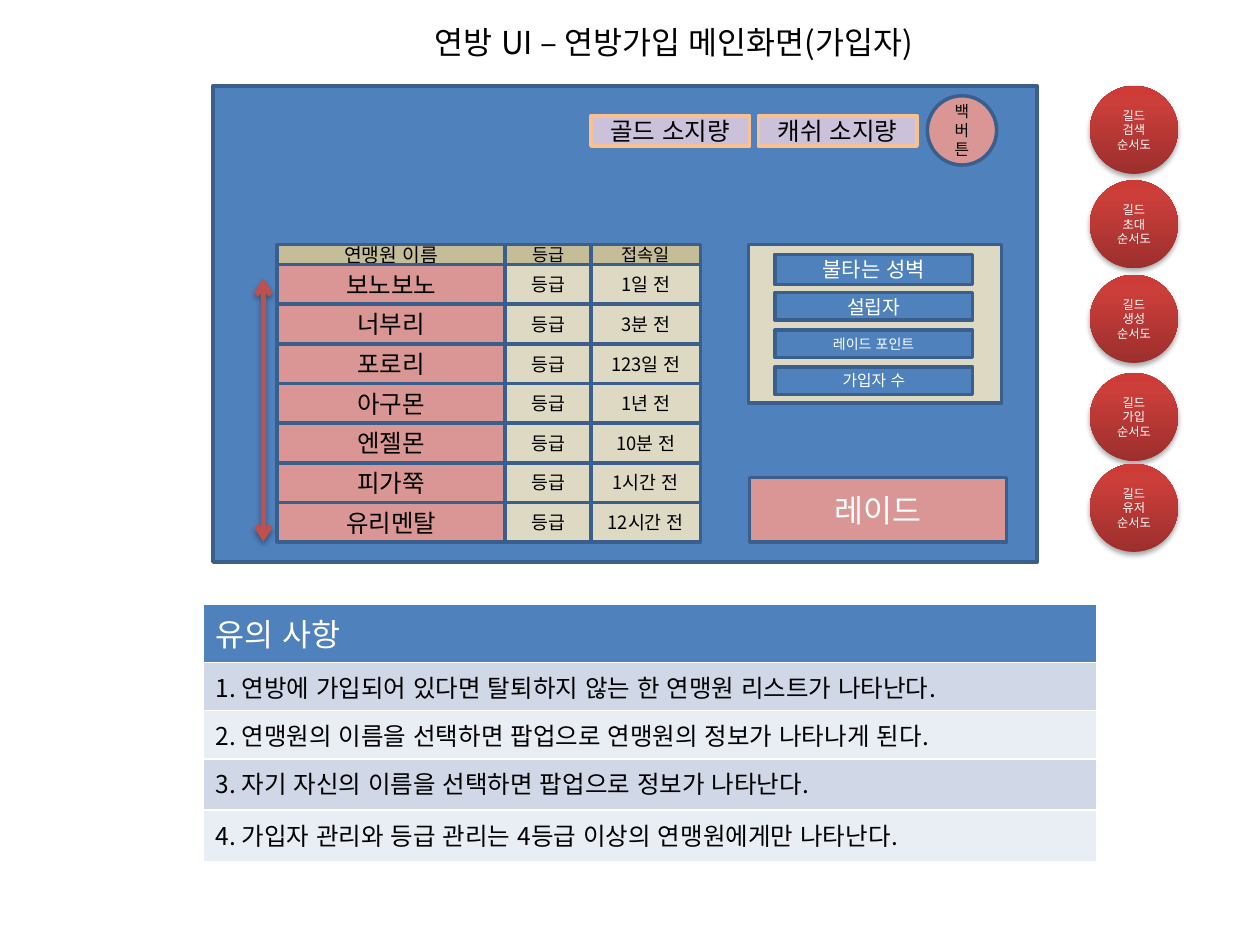
from copy import deepcopy

from lxml import etree
from pptx import Presentation
from pptx.dml.color import RGBColor
from pptx.enum import shapes, text
from pptx.oxml import ns
from pptx.util import Pt

FONT = "Noto Sans CJK KR"
BLACK = RGBColor(0x00, 0x00, 0x00)
WHITE = RGBColor(0xFF, 0xFF, 0xFF)
BLUE = RGBColor(0x4F, 0x81, 0xBD)
NAVY = RGBColor(0x3A, 0x5F, 0x8C)
PINK = RGBColor(0xD9, 0x96, 0x94)
KHAKI = RGBColor(0xC4, 0xBD, 0x97)
BEIGE = RGBColor(0xDD, 0xD9, 0xC3)
LILAC = RGBColor(0xCC, 0xC1, 0xDA)
ORANGE = RGBColor(0xFA, 0xC0, 0x90)
RED = RGBColor(0xC0, 0x50, 0x4D)
BAND_DARK = RGBColor(0xD0, 0xD8, 0xE8)
BAND_LIGHT = RGBColor(0xE9, 0xED, 0xF4)
RED_GRADIENT = [
    (0, RGBColor(0x9C, 0x2F, 0x2D)),
    (0.8, RGBColor(0xCB, 0x3E, 0x3A)),
    (1, RGBColor(0xCE, 0x3B, 0x37)),
]
RECTANGLE = shapes.MSO_SHAPE.RECTANGLE
OVAL = shapes.MSO_SHAPE.OVAL
CENTER = text.PP_ALIGN.CENTER

presentation = Presentation()
presentation.slide_width, presentation.slide_height = Pt(720), Pt(540)
slide = presentation.slides.add_slide(presentation.slide_layouts[6])


def write(frame, content, size=14, color=BLACK, align=None):
    """Fill a text frame, one paragraph per line of content."""
    for index, line in enumerate(content.split("\n")):
        paragraph = frame.add_paragraph() if index else frame.paragraphs[0]
        paragraph.alignment = align
        run = paragraph.add_run()
        run.text = line
        run.font.size, run.font.bold = Pt(size), False
        run.font.name = FONT
        run.font.color.rgb = color
        properties = run.font._element
        properties.set("lang", "ko-KR")
        etree.SubElement(properties, ns.qn("a:ea"), typeface=FONT)


def add_box(left, top, width, height, fill, content="", size=14,
            color=BLACK, line=NAVY, kind=RECTANGLE):
    """Add an outlined shape with centred text."""
    shape = slide.shapes.add_shape(kind, Pt(left), Pt(top), Pt(width), Pt(height))
    shape.shadow.inherit = False
    shape.fill.solid()
    shape.fill.fore_color.rgb = fill
    shape.line.color.rgb = line
    shape.line.width = Pt(2)
    shape.text_frame.word_wrap = True
    shape.text_frame.vertical_anchor = text.MSO_ANCHOR.MIDDLE
    if content:
        write(shape.text_frame, content, size, color, CENTER)
    return shape


# Table of notes
notes = [
    "유의 사항",
    "1. 연방에 가입되어 있다면 탈퇴하지 않는 한 연맹원 리스트가 나타난다.",
    "2. 연맹원의 이름을 선택하면 팝업으로 연맹원의 정보가 나타나게 된다.",
    "3. 자기 자신의 이름을 선택하면 팝업으로 정보가 나타난다.",
    "4. 가입자 관리와 등급 관리는 4등급 이상의 연맹원에게만 나타난다.",
]
row_heights = [29.2, 20, 20, 29.2, 29.2]
table = slide.shapes.add_table(
    len(notes), 1, Pt(116), Pt(345.2), Pt(510.5), Pt(sum(row_heights))).table
for index, (note, height) in enumerate(zip(notes, row_heights)):
    table.rows[index].height = Pt(height)
    cell = table.cell(index, 0)
    cell.fill.solid()
    if index == 0:
        cell.fill.fore_color.rgb = BLUE
        write(cell.text_frame, note, size=18, color=WHITE)
    else:
        cell.fill.fore_color.rgb = BAND_DARK if index % 2 else BAND_LIGHT
        write(cell.text_frame, note)

# Main screen with its top bar
add_box(121.7, 49, 470.9, 272.2, BLUE)
add_box(529.9, 54.7, 39.6, 39.6, PINK, "백버튼", 9, kind=OVAL)
for left, label in [(433.4, "캐쉬 소지량"), (337.7, "골드 소지량")]:
    add_box(left, 66.2, 90.7, 17.3, LILAC, label, line=ORANGE)

# Member list: header row, then one row per member
columns = [
    # left, width, header, header size, fill, text size
    (158.4, 130.3, "연맹원 이름", 11, PINK, 14),
    (288.7, 49, "등급", 10, BEIGE, 10.5),
    (337.7, 62.6, "접속일", 10, BEIGE, 10.5),
]
members = [
    ("보노보노", "1일 전"),
    ("너부리", "3분 전"),
    ("포로리", "123일 전"),
    ("아구몬", "1년 전"),
    ("엔젤몬", "10분 전"),
    ("피가쭉", "1시간 전"),
    ("유리멘탈", "12시간 전"),
]
LIST_TOP, HEADER_HEIGHT, ROW_HEIGHT = 139.7, 11.5, 22.65
for left, width, header, header_size, fill, size in columns:
    add_box(left, LIST_TOP, width, HEADER_HEIGHT, KHAKI, header, header_size)
for row, (name, last_seen) in enumerate(members):
    top = LIST_TOP + HEADER_HEIGHT + row * ROW_HEIGHT
    for column, label in zip(columns, (name, "등급", last_seen)):
        left, width, header, header_size, fill, size = column
        add_box(left, top, width, ROW_HEIGHT, fill, label, size)

# Scroll arrow beside the list
arrow = slide.shapes.add_connector(
    shapes.MSO_CONNECTOR.STRAIGHT, Pt(150.5), Pt(309.6), Pt(150.5), Pt(159.1))
arrow.line.color.rgb = RED
arrow.line.width = Pt(3)
for end in ("a:headEnd", "a:tailEnd"):
    etree.SubElement(arrow.line._get_or_add_ln(), ns.qn(end), type="arrow")
etree.SubElement(arrow._element.spPr, ns.qn("a:effectLst"))

# Guild information panel and raid button
add_box(427.7, 139.7, 144.7, 90.7, BEIGE)
guild_facts = [
    (145.4, 17.3, "불타는 성벽", 12),
    (167.2, 15.8, "설립자", 11),
    (188.5, 15.8, "레이드 포인트", 8),
    (209.6, 15.8, "가입자 수", 9),
]
for top, height, label, size in guild_facts:
    add_box(442.8, top, 113, height, BLUE, label, size, WHITE)
add_box(428.4, 272.9, 146.9, 36.9, PINK, "레이드", 18, WHITE)

# Title
title = slide.shapes.add_textbox(Pt(241.2), Pt(9.4), Pt(314.6), Pt(29))
title.text_frame.word_wrap = False
title.text_frame.auto_size = text.MSO_AUTO_SIZE.SHAPE_TO_FIT_TEXT
write(title.text_frame, "연방 UI – 연방가입 메인화면(가입자)", size=18)

# Flowchart buttons
shadowed = [arrow]
buttons = [(49, "검색"), (103, "초대"), (157, "생성"), (213.1, "가입"), (265, "유저")]
for top, topic in buttons:
    button = add_box(622.8, top, 50.4, 50.4, RED, f"길드 {topic}\n순서도", 7,
                     WHITE, kind=OVAL)
    button.line.fill.background()
    button.fill.gradient()
    button.fill.gradient_angle = 90
    stop_list = button._element.spPr.find(ns.qn("a:gradFill")).find(ns.qn("a:gsLst"))
    stop_list.append(deepcopy(stop_list[-1]))
    for stop, (position, color) in zip(button.fill.gradient_stops, RED_GRADIENT):
        stop.position = position
        stop.color.rgb = color
    shadowed.append(button)

# Soft shadow under the arrow and the buttons
for item in shadowed:
    effects = item._element.spPr.find(ns.qn("a:effectLst"))
    shadow = etree.SubElement(
        effects, ns.qn("a:outerShdw"), blurRad=str(Pt(3.1)), dist=str(Pt(1.8)),
        dir="5400000", rotWithShape="0")
    shade = etree.SubElement(shadow, ns.qn("a:srgbClr"), val=str(BLACK))
    etree.SubElement(shade, ns.qn("a:alpha"), val="35000")

presentation.save("out.pptx")
